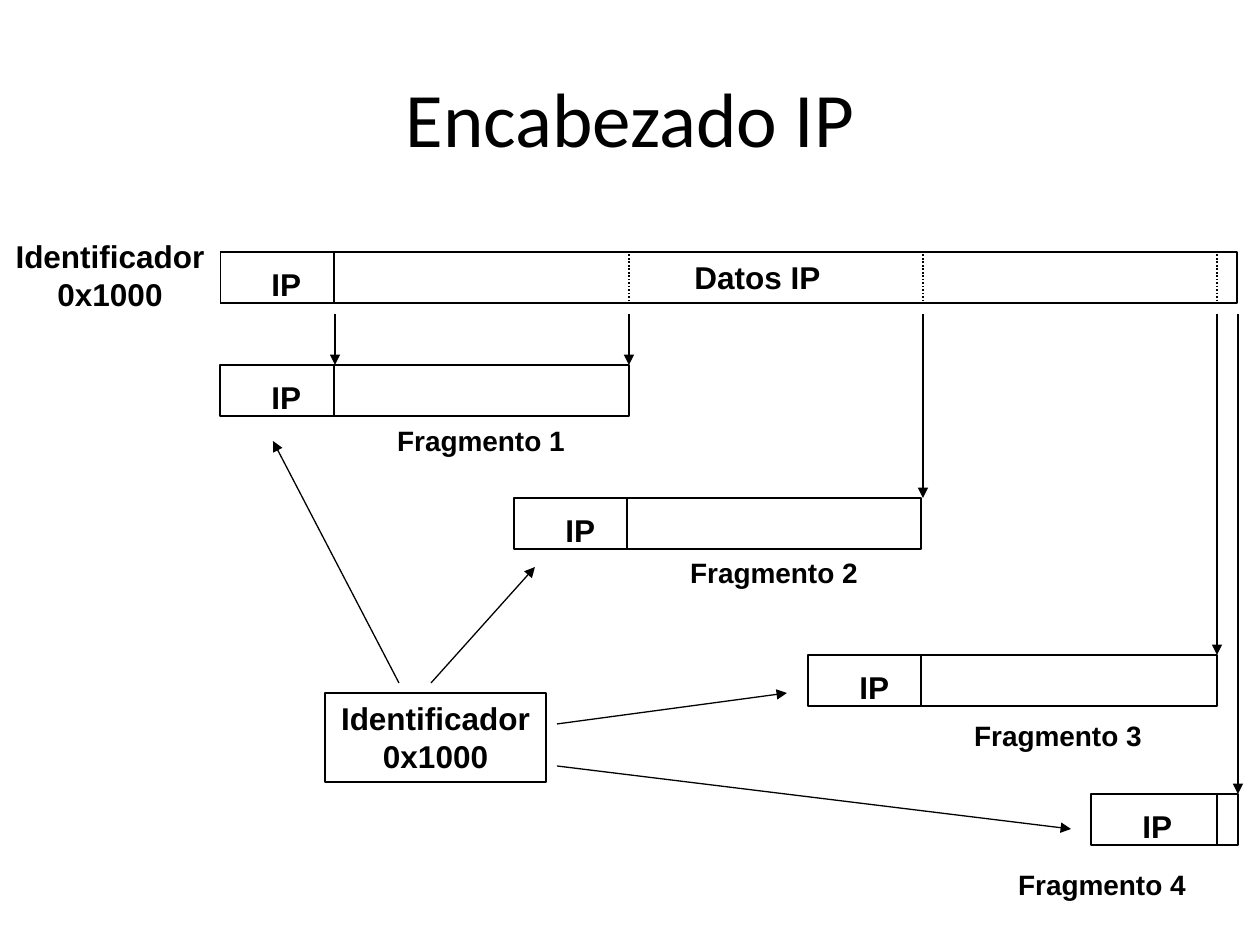
import pptx
import pptx.util
import pptx.dml.color
import pptx.enum.dml
import pptx.enum.shapes
import pptx.enum.text
import pptx.oxml

BLACK, WHITE = "000000", "FFFFFF"
ROW_HEIGHT = 51

TITLE = ("Encabezado IP", (63, 38, 1134, 157))
DATA_LABEL = ("Datos IP", (682, 252, 151, 51))
IDENTIFIER = ["Identificador", "0x1000"]
IDENTIFIER_BOXES = [((0, 231, 220, 88), None), ((325, 693, 221, 89), BLACK)]
PACKETS = [
    {"top": 252, "head": (220, 114), "data": (294, 1237), "label": None},
    {"top": 365, "head": (220, 114), "data": (294, 629), "label": ("Fragmento 1", 355, 417)},
    {"top": 498, "head": (514, 113), "data": (587, 921), "label": ("Fragmento 2", 648, 549)},
    {"top": 655, "head": (808, 113), "data": (881, 1217), "label": ("Fragmento 3", 932, 712)},
    {"top": 794, "head": (1091, 126), "data": (1207, 1238), "label": ("Fragmento 4", 976, 861)},
]
CUTS = [629, 923, 1217]
DROPS = [(335, 365), (629, 365), (923, 498), (1217, 655), (1238, 794)]
POINTERS = [
    ((399, 683), (273, 441)),
    ((431, 683), (535, 567)),
    ((557, 724), (787, 693)),
    ((557, 766), (1071, 829)),
]


def px(count):
    return pptx.util.Emu(round(count * 914400 / 126))


def color(value):
    return pptx.dml.color.RGBColor.from_string(value)


def write(box, lines, size, font="Arial", bold=True, centered=True, wrap=True):
    frame = box.text_frame
    frame.word_wrap = wrap
    if not wrap:
        frame.auto_size = pptx.enum.text.MSO_AUTO_SIZE.SHAPE_TO_FIT_TEXT
    frame.vertical_anchor = pptx.enum.text.MSO_ANCHOR.TOP
    for index, line in enumerate(lines):
        para = frame.add_paragraph() if index else frame.paragraphs[0]
        align = pptx.enum.text.PP_ALIGN
        para.alignment = align.CENTER if centered else align.LEFT
        span = para.add_run()
        span.text = line
        span.font.size = pptx.util.Pt(size)
        span.font.name = font
        span.font.bold = bold
        span.font.color.rgb = color(BLACK)


def add_text(page, place, text, size, **style):
    box = page.shapes.add_textbox(*map(px, place))
    write(box, [text], size, **style)
    return box


def add_rectangle(page, place, outline=BLACK):
    shape = page.shapes.add_shape(pptx.enum.shapes.MSO_SHAPE.RECTANGLE, *map(px, place))
    shape.shadow.inherit = False
    shape.fill.solid()
    shape.fill.fore_color.rgb = color(WHITE)
    if outline:
        shape.line.color.rgb = color(outline)
        shape.line.width = pptx.util.Pt(1)
    else:
        shape.line.fill.background()
    return shape


def add_line(page, start, end, width=1, dotted=False):
    line = page.shapes.add_connector(
        pptx.enum.shapes.MSO_CONNECTOR.STRAIGHT, *map(px, start + end))
    line.line.color.rgb = color(BLACK)
    line.line.width = pptx.util.Pt(width)
    namespace = pptx.oxml.ns.nsdecls("a")
    if dotted:
        line.line.dash_style = pptx.enum.dml.MSO_LINE.ROUND_DOT
    else:
        line.line._get_or_add_ln().append(
            pptx.oxml.parse_xml(f'<a:tailEnd {namespace} type="triangle"/>'))
    line._element.spPr.append(pptx.oxml.parse_xml(f"<a:effectLst {namespace}/>"))


def add_packet(page, packet):
    top = packet["top"]
    left, width = packet["head"]
    start, end = packet["data"]
    add_rectangle(page, (start, top, end - start, ROW_HEIGHT))
    add_rectangle(page, (left, top, width, ROW_HEIGHT))
    add_text(page, (left + 39, top + 7, 55, ROW_HEIGHT), "IP", 18, centered=False, wrap=False)
    if packet["label"]:
        text, label_left, label_top = packet["label"]
        add_text(page, (label_left, label_top, 252, 45), text, 16)


def main():
    deck = pptx.Presentation()
    deck.slide_width, deck.slide_height = px(1260), px(945)
    page = deck.slides.add_slide(deck.slide_layouts[6])

    text, place = TITLE
    title = add_text(page, place, text, 44, font="Calibri", bold=False)
    title.text_frame.vertical_anchor = pptx.enum.text.MSO_ANCHOR.MIDDLE

    for packet in PACKETS:
        add_packet(page, packet)
    text, place = DATA_LABEL
    add_text(page, place, text, 18, centered=False, wrap=False)

    for x in CUTS:
        add_line(page, (x, 251), (x, 302), dotted=True)
    for x, bottom in DROPS:
        add_line(page, (x, 314), (x, bottom))
    for place, outline in IDENTIFIER_BOXES:
        write(add_rectangle(page, place, outline), IDENTIFIER, 18)
    for start, end in POINTERS:
        add_line(page, start, end, width=0.75)

    deck.save("out.pptx")


if __name__ == "__main__":
    main()
